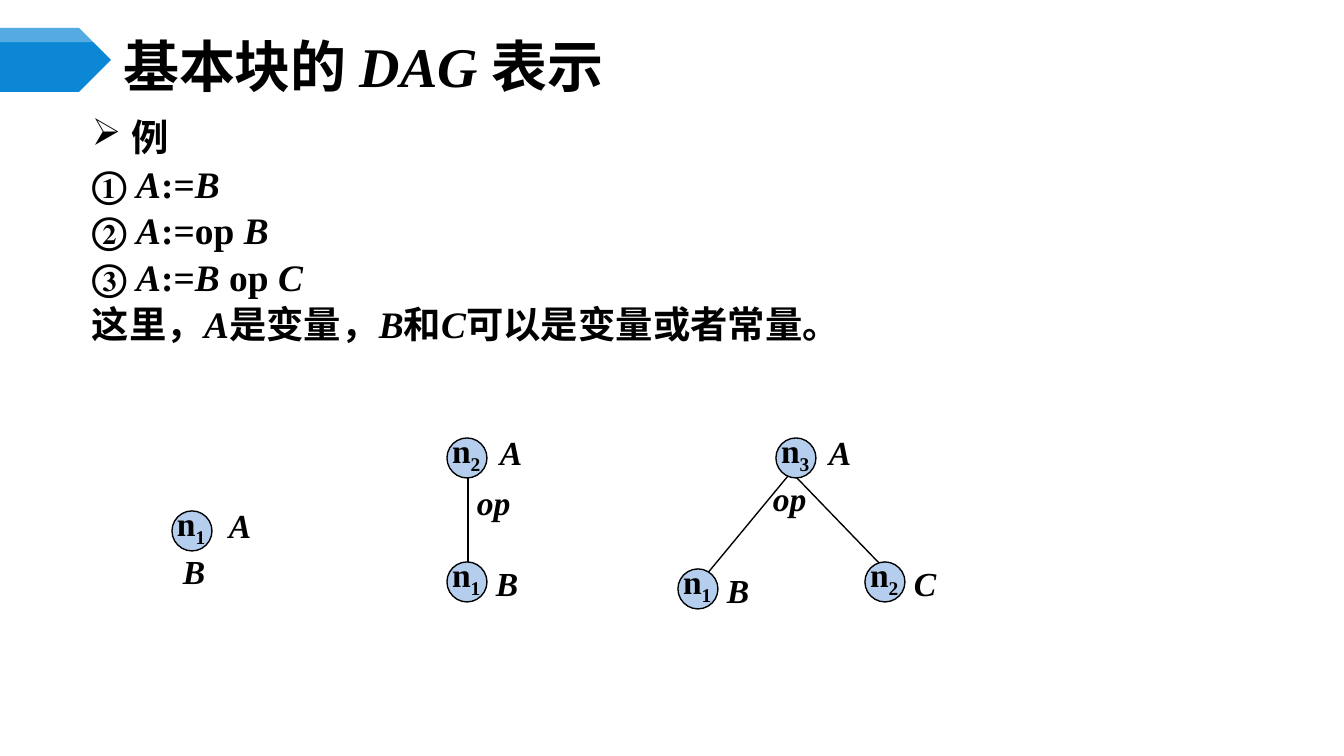
from lxml.etree import SubElement
from pptx import Presentation
from pptx.dml.color import RGBColor
from pptx.enum.shapes import MSO_CONNECTOR, MSO_SHAPE
from pptx.enum.text import MSO_ANCHOR
from pptx.oxml.ns import qn
from pptx.util import Emu, Pt

SERIF = "Times New Roman"
SANS = "Noto Sans CJK SC"


def px(length):
    return Emu(round(length * 914400 / 134.4))


def color(value):
    return RGBColor.from_string(value)


def write(paragraph, text, size=18, font=SERIF, italic=False, baseline=None):
    """Add one bold run to the paragraph."""
    run = paragraph.add_run()
    run.text = text
    run.font.size = Pt(size)
    run.font.bold = True
    run.font.italic = italic
    run.font.color.rgb = color("000000")
    run.font.name = font
    properties = run.font._element
    SubElement(properties, qn("a:ea"), typeface=SANS)
    if baseline:
        properties.set("baseline", str(baseline * 1000))


def write_marked(paragraph, text, size, font=SERIF):
    """Write text in which underscores enclose the italic parts."""
    for index, part in enumerate(text.split("_")):
        if part:
            italic = index % 2 == 1
            write(paragraph, part, size=size, italic=italic,
                  font=SERIF if italic else font)


class DagSlide:
    black = "000000"
    node_fill = "B5CEED"
    node_size = 40
    line_width = Pt(0.75)

    def __init__(self, slide):
        self.slide = slide

    def outline(self, points, fill, opacity=None):
        corners = [(px(x), px(y)) for x, y in points]
        builder = self.slide.shapes.build_freeform(*corners[0])
        builder.add_line_segments(corners[1:], close=True)
        shape = builder.convert_to_shape()
        shape.shadow.inherit = False
        shape.line.fill.background()
        shape.fill.solid()
        shape.fill.fore_color.rgb = color(fill)
        if opacity:
            rgb = shape.fill._xPr.find(".//" + qn("a:srgbClr"))
            SubElement(rgb, qn("a:alpha"), val=str(opacity * 1000))

    def text_box(self, x, y, width, height, inset=(11, 5)):
        shape = self.slide.shapes.add_textbox(px(x), px(y), px(width), px(height))
        frame = shape.text_frame
        frame.word_wrap = True
        frame.margin_left = frame.margin_right = px(inset[0])
        frame.margin_top = frame.margin_bottom = px(inset[1])
        return frame

    def title(self, text):
        frame = self.text_box(112, 39, 1165, 52)
        frame.vertical_anchor = MSO_ANCHOR.MIDDLE
        write_marked(frame.paragraphs[0], text, size=30, font=SANS)

    def body(self, heading, lines):
        frame = self.text_box(36, 113, 1275, 241)
        for index, text in enumerate([heading] + lines):
            first = index == 0
            paragraph = frame.paragraphs[0] if first else frame.add_paragraph()
            paragraph.line_spacing = Pt(22 if first else 20)
            paragraph.space_before = Pt(0 if first else 5)
            properties = paragraph._p.get_or_add_pPr()
            properties.set("marL", str(px(85)))
            properties.set("indent", str(px(-40)))
            if first:
                bullet_color = SubElement(properties, qn("a:buClr"))
                SubElement(bullet_color, qn("a:srgbClr"), val=self.black)
                SubElement(properties, qn("a:buChar"), char="➢")
            write_marked(paragraph, text, size=20, font=SANS if first else SERIF)

    def edge(self, x1, y1, x2, y2):
        connector = self.slide.shapes.add_connector(
            MSO_CONNECTOR.STRAIGHT, px(x1), px(y1), px(x2), px(y2))
        connector.line.color.rgb = color(self.black)
        connector.line.width = self.line_width
        SubElement(connector._element.spPr, qn("a:effectLst"))

    def label(self, x, y, text):
        frame = self.text_box(x, y, 84, 51)
        write(frame.paragraphs[0], text, italic=True)

    def node(self, x, y, number, labels):
        shape = self.slide.shapes.add_shape(
            MSO_SHAPE.OVAL, px(x), px(y), px(self.node_size), px(self.node_size))
        shape.shadow.inherit = False
        shape.fill.solid()
        shape.fill.fore_color.rgb = color(self.node_fill)
        shape.line.color.rgb = color(self.black)
        shape.line.width = self.line_width
        paragraph = self.text_box(x - 8, y - 15, 74, 59, inset=(13, 7)).paragraphs[0]
        write(paragraph, "n")
        write(paragraph, str(number), baseline=-25)
        for text, dx, dy in labels:
            self.label(x + dx, y + dy, text)


def main():
    presentation = Presentation()
    presentation.slide_width, presentation.slide_height = px(1344), px(756)
    page = DagSlide(presentation.slides.add_slide(presentation.slide_layouts[6]))

    # Arrow tag beside the title, with a lighter strip along its top
    page.outline([(0, 28), (79, 28), (111, 60), (79, 92), (0, 92)], "0B87D6")
    page.outline([(0, 28), (105, 28), (111, 35), (105, 42), (0, 42)], "FFFFFF", opacity=30)

    # Title and statements
    page.title("基本块的 _DAG _表示")
    page.body("例", [
        "① _A_:=_B_",
        "② _A_:=op _B_",
        "③ _A_:=_B_ op _C_",
        "这里，_A_是变量，_B_和_C_可以是变量或者常量。",
    ])

    # Edges of the graphs
    for ends in [(468, 562, 468, 476), (879, 563, 796, 477), (707, 574, 788, 476)]:
        page.edge(*ends)

    # Nodes, with each variable placed relative to its node
    result = ("A", 42, -11)
    operand = ("B", 38, -4)
    page.node(172, 511, 1, [("B", 0, 35), ("A", 46, -11)])
    page.node(447, 562, 1, [operand])
    page.node(447, 438, 2, [result])
    page.node(865, 562, 2, [("C", 38, -4)])
    page.node(776, 438, 3, [result])
    page.node(678, 569, 1, [operand])

    # Operators
    page.label(466, 477, "op")
    page.label(762, 473, "op")

    presentation.save("out.pptx")


if __name__ == "__main__":
    main()
